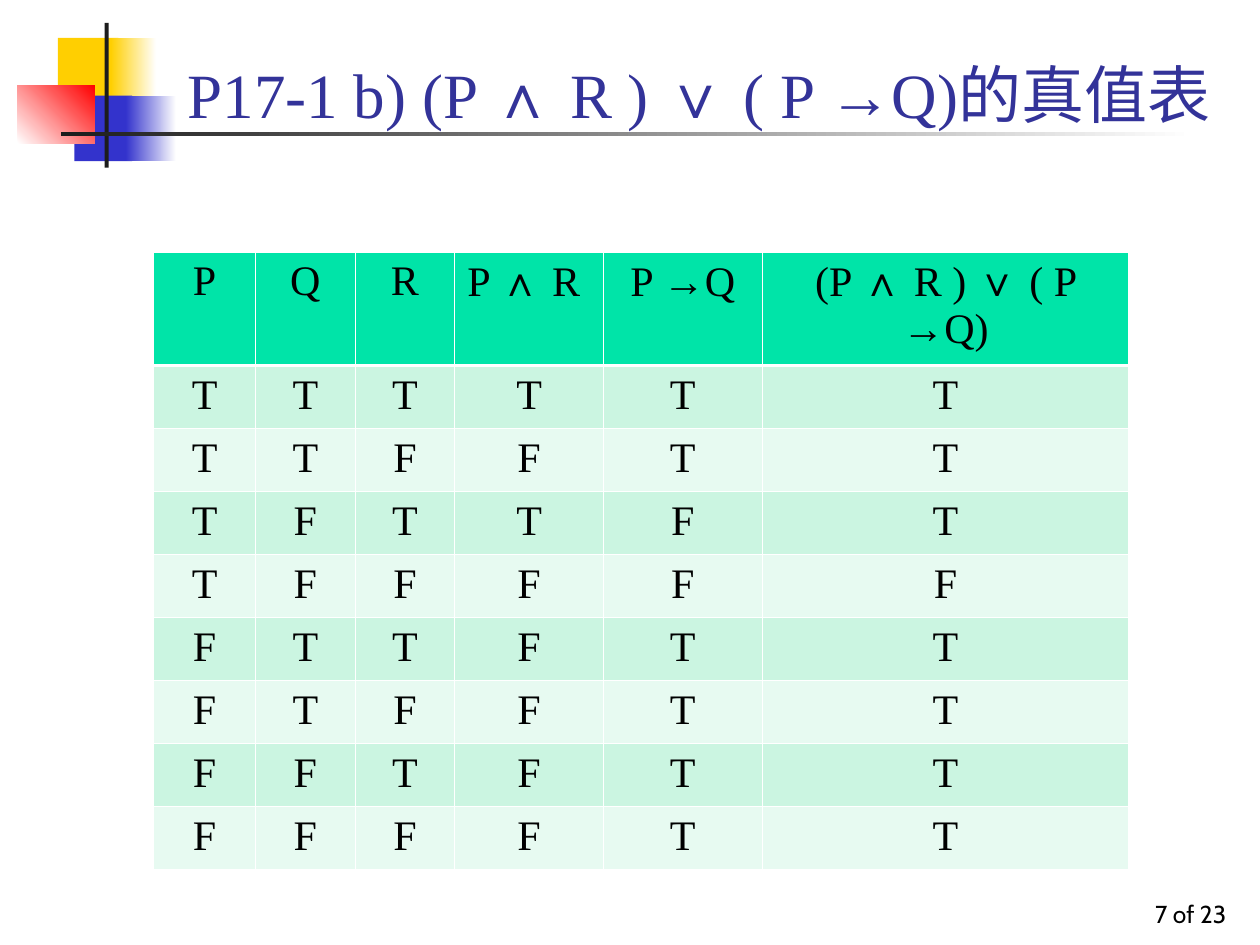
import itertools
from typing import NamedTuple, Optional

import pptx
import pptx.dml.color
import pptx.enum.shapes
import pptx.enum.text
import pptx.oxml
import pptx.oxml.ns
import pptx.util

Pt = pptx.util.Pt
RGBColor = pptx.dml.color.RGBColor
PP_ALIGN = pptx.enum.text.PP_ALIGN

WHITE = RGBColor(0xFF, 0xFF, 0xFF)
BLACK = RGBColor(0x00, 0x00, 0x00)
YELLOW = RGBColor(0xFF, 0xCF, 0x01)
BLUE = RGBColor(0x33, 0x33, 0xCC)
RED = RGBColor(0xFF, 0x00, 0x00)
CHARCOAL = RGBColor(0x1C, 0x1C, 0x1C)
TITLE_BLUE = RGBColor(0x33, 0x33, 0x99)
HEADER_GREEN = RGBColor(0x00, 0xE4, 0xA8)
BAND_GREENS = (RGBColor(0xCB, 0xF5, 0xE1), RGBColor(0xE7, 0xFA, 0xF1))

SERIF = "Times New Roman"
SYMBOL_FONT = "Arial"
OPERATORS = "∧∨→"
THIN, THICK = 0.45, 1.47

HEADERS = ("P", "Q", "R", "P ∧ R ", "P →Q", "(P ∧ R ) ∨ ( P →Q)")
COLUMN_WIDTHS = (58.3, 56.9, 56.9, 85, 90.7, 209.5)
ROW_HEIGHT = 36


class Block(NamedTuple):
    left: float
    top: float
    width: float
    height: float
    color: RGBColor
    end: Optional[RGBColor] = None
    angle: float = 0


class Label(NamedTuple):
    left: float
    top: float
    width: float
    height: float
    text: str
    size: float
    font: str
    color: RGBColor
    align: PP_ALIGN


BLOCKS = (
    Block(33.1, 21.6, 34.6, 37.4, YELLOW),
    Block(63.4, 21.6, 25.9, 37.4, YELLOW, WHITE),
    Block(42.5, 54.7, 33.1, 37.4, BLUE),
    Block(72, 54.7, 28.8, 37.4, BLUE, WHITE),
    Block(10, 48.7, 44.2, 33.4, WHITE, RED, 45),
    Block(59.8, 13, 2.3, 82.8, CHARCOAL),
    Block(34.6, 75.4, 648, 2.2, CHARCOAL, WHITE),
)
LABELS = (
    Label(558, 498.2, 149.8, 36, "7 of 23", 14, "Cabin", BLACK, PP_ALIGN.RIGHT),
    Label(100.1, 12.2, 613.4, 66.2, "P17-1 b) (P ∧ R ) ∨ ( P →Q)的真值表",
          36, SERIF, TITLE_BLUE, PP_ALIGN.LEFT),
)


def write(p, text: str, size: float, font: str, color: RGBColor, align: PP_ALIGN) -> None:
    p.alignment = align
    p.font.size = Pt(size)
    p.font.name = font
    p.font.color.rgb = color
    for is_operator, chars in itertools.groupby(text, lambda c: c in OPERATORS):
        r = p.add_run()
        r.text = "".join(chars)
        if is_operator:
            r.font.name = SYMBOL_FONT


def draw_block(shapes, b: Block) -> None:
    sp = shapes.add_shape(pptx.enum.shapes.MSO_SHAPE.RECTANGLE,
                          Pt(b.left), Pt(b.top), Pt(b.width), Pt(b.height))
    sp.shadow.inherit = False
    sp.line.fill.background()
    if b.end is None:
        sp.fill.solid()
        sp.fill.fore_color.rgb = b.color
        return
    sp.fill.gradient()
    sp.fill.gradient_angle = b.angle
    for stop, color in zip(sp.fill.gradient_stops, (b.color, b.end)):
        stop.color.rgb = color


def draw_label(shapes, label: Label) -> None:
    sp = shapes.add_textbox(Pt(label.left), Pt(label.top), Pt(label.width), Pt(label.height))
    tf = sp.text_frame
    tf.word_wrap = True
    tf.vertical_anchor = pptx.enum.text.MSO_ANCHOR.BOTTOM
    write(tf.paragraphs[0], label.text, label.size, label.font, label.color, label.align)


def set_borders(cell, top: float, bottom: float) -> None:
    tc_pr = cell._tc.get_or_add_tcPr()
    widths = {"lnL": THIN, "lnR": THIN, "lnT": top, "lnB": bottom}
    for i, (tag, width) in enumerate(widths.items()):
        tc_pr.insert(i, pptx.oxml.parse_xml(
            f'<a:{tag} {pptx.oxml.ns.nsdecls("a")} w="{Pt(width)}">'
            f'<a:solidFill><a:srgbClr val="{WHITE}"/></a:solidFill></a:{tag}>'))


def truth_rows() -> list[tuple[str, ...]]:
    rows = []
    for p, q, r in itertools.product((True, False), repeat=3):
        conjunction, implication = p and r, not p or q
        values = (p, q, r, conjunction, implication, conjunction or implication)
        rows.append(tuple("T" if v else "F" for v in values))
    return rows


def draw_truth_table(shapes, left: float, top: float) -> None:
    rows = [HEADERS, *truth_rows()]
    table = shapes.add_table(len(rows), len(HEADERS), Pt(left), Pt(top),
                             Pt(sum(COLUMN_WIDTHS)), Pt(ROW_HEIGHT * len(rows))).table
    table.first_row = table.horz_banding = False
    for column, width in zip(table.columns, COLUMN_WIDTHS):
        column.width = Pt(width)
    for i, row in enumerate(rows):
        table.rows[i].height = Pt(ROW_HEIGHT)
        for j, text in enumerate(row):
            cell = table.cell(i, j)
            cell.fill.solid()
            cell.fill.fore_color.rgb = BAND_GREENS[(i - 1) % 2] if i else HEADER_GREEN
            set_borders(cell, THICK if i == 1 else THIN, THICK if i == 0 else THIN)
            write(cell.text_frame.paragraphs[0], text, 24, SERIF, BLACK, PP_ALIGN.CENTER)


def main() -> None:
    prs = pptx.Presentation()
    prs.slide_width, prs.slide_height = Pt(720), Pt(540)
    s = prs.slides.add_slide(prs.slide_layouts[6])
    for block in BLOCKS:
        draw_block(s.shapes, block)
    for label in LABELS:
        draw_label(s.shapes, label)
    draw_truth_table(s.shapes, 87.8, 144)
    prs.save("out.pptx")


if __name__ == "__main__":
    main()
